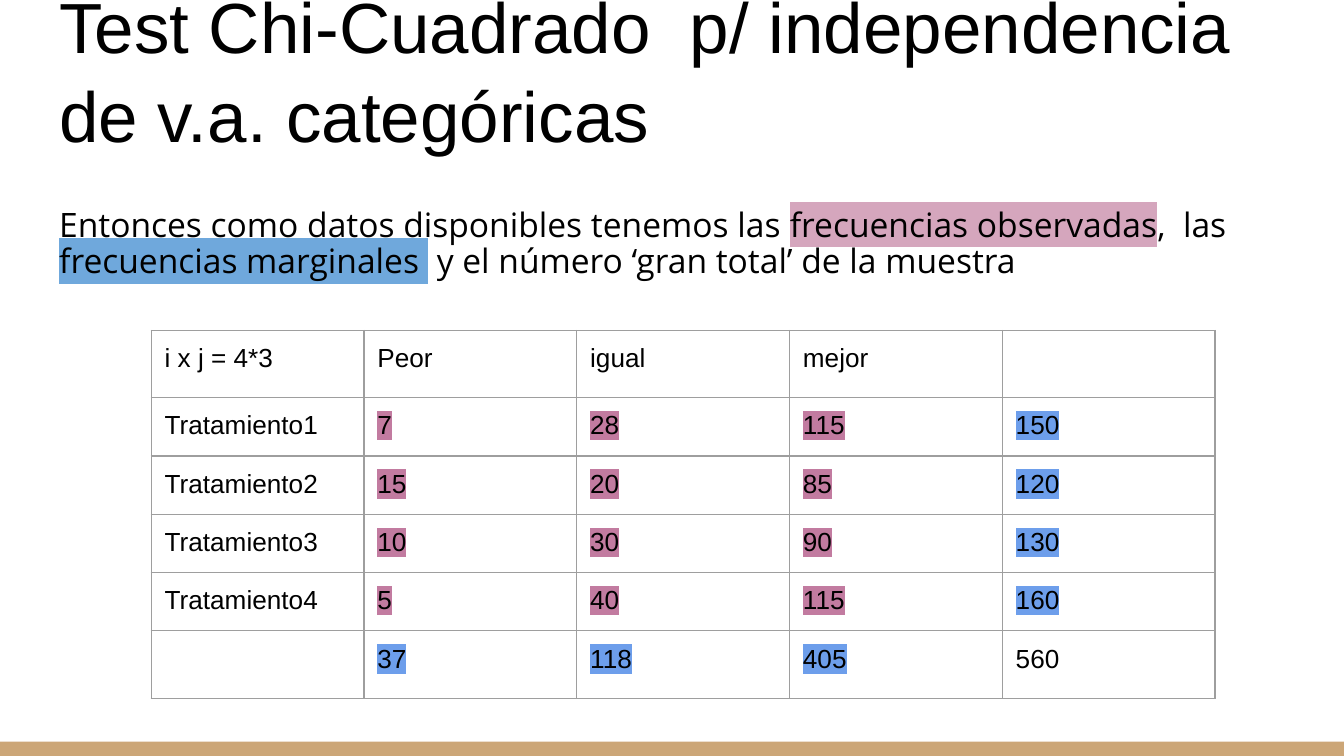
"""Build a slide with the contingency table of a chi-squared independence test."""
from dataclasses import dataclass

from lxml import etree
from pptx import Presentation
from pptx.dml.color import RGBColor
from pptx.enum import shapes, text
from pptx.oxml import ns
from pptx.util import Pt


@dataclass(frozen=True)
class Theme:
    ink: str = "000000"
    band: str = "CCA677"
    border: str = "9E9E9E"
    observed_text: str = "D5A6BD"
    marginal_text: str = "6FA8DC"
    observed_cell: str = "C27BA0"
    marginal_cell: str = "6D9EEB"
    heading_font: str = "Arial"
    body_font: str = "Open Sans"
    title_size: int = 38
    body_size: int = 18
    cell_size: int = 14


THEME = Theme()
SLIDE_WIDTH, SLIDE_HEIGHT = 720, 405
BAND_HEIGHT = 7.7
TABLE_LEFT, TABLE_TOP = 81, 177
COLUMN_WIDTH, ROW_HEIGHT, OUTER_ROW_HEIGHT = 114, 30.1, 34.3
BORDER_WIDTH = 0.75

TITLE = "Test Chi-Cuadrado  p/ independencia de v.a. categóricas"
INTRODUCTION = [
    ("Entonces como datos disponibles tenemos las ", None),
    ("frecuencias observadas", THEME.observed_text),
    (",  las ", None),
    ("frecuencias marginales ", THEME.marginal_text),
    (" y el número ‘gran total’ de la muestra", None),
]
FREQUENCIES = [
    ["i x j = 4*3", "Peor", "igual", "mejor", ""],
    ["Tratamiento1", "7", "28", "115", "150"],
    ["Tratamiento2", "15", "20", "85", "120"],
    ["Tratamiento3", "10", "30", "90", "130"],
    ["Tratamiento4", "5", "40", "115", "160"],
    ["", "37", "118", "405", "560"],
]
LAST_ROW, LAST_COLUMN = len(FREQUENCIES) - 1, len(FREQUENCIES[0]) - 1


def add_color(parent, tag, color):
    element = etree.SubElement(parent, ns.qn(tag))
    etree.SubElement(element, ns.qn("a:srgbClr"), val=color)


def add_run(paragraph, content, font, size, highlight=None):
    run = paragraph.add_run()
    run.text = content
    run.font.size = Pt(size)
    run.font.color.rgb = RGBColor.from_string(THEME.ink)
    if highlight:
        add_color(run.font._element, "a:highlight", highlight)
    run.font.name = font


def set_margins(target, margin):
    target.margin_left = target.margin_right = Pt(margin)
    target.margin_top = target.margin_bottom = Pt(margin)


def cell_highlight(row, column):
    if row == 0 or column == 0:
        return None
    outer = (row == LAST_ROW) + (column == LAST_COLUMN)
    return (THEME.observed_cell, THEME.marginal_cell, None)[outer]


def add_borders(cell):
    properties = cell._tc.get_or_add_tcPr()
    for side in ("a:lnL", "a:lnR", "a:lnT", "a:lnB"):
        line = etree.SubElement(properties, ns.qn(side), w=str(Pt(BORDER_WIDTH)))
        add_color(line, "a:solidFill", THEME.border)


def add_band(slide):
    band = slide.shapes.add_shape(
        shapes.MSO_SHAPE.RECTANGLE, 0, Pt(SLIDE_HEIGHT - BAND_HEIGHT),
        Pt(SLIDE_WIDTH), Pt(BAND_HEIGHT))
    band.shadow.inherit = False
    band.fill.solid()
    band.fill.fore_color.rgb = RGBColor.from_string(THEME.band)
    band.line.fill.background()


def add_title(slide):
    title = slide.shapes.title
    title.left, title.top, title.width, title.height = map(Pt, (24.5, 25, 671, 66))
    frame = title.text_frame
    frame.auto_size = text.MSO_AUTO_SIZE.NONE
    frame.word_wrap = True
    frame.vertical_anchor = text.MSO_ANCHOR.BOTTOM
    set_margins(frame, 7.2)
    paragraph = frame.paragraphs[0]
    paragraph.alignment = text.PP_ALIGN.LEFT
    paragraph.line_spacing = 1.04
    add_run(paragraph, TITLE, THEME.heading_font, THEME.title_size)


def add_introduction(slide):
    box = slide.shapes.add_textbox(*map(Pt, (25.9, 105.8, 656, 70.6)))
    frame = box.text_frame
    frame.word_wrap = True
    set_margins(frame, 5.8)
    paragraph = frame.paragraphs[0]
    paragraph.line_spacing = 0.9
    for content, highlight in INTRODUCTION:
        add_run(paragraph, content, THEME.body_font, THEME.body_size, highlight)


def add_frequency_table(slide):
    heights = [OUTER_ROW_HEIGHT if row in (0, LAST_ROW) else ROW_HEIGHT
               for row in range(len(FREQUENCIES))]
    columns = len(FREQUENCIES[0])
    table = slide.shapes.add_table(
        len(heights), columns, Pt(TABLE_LEFT), Pt(TABLE_TOP),
        Pt(COLUMN_WIDTH * columns), Pt(sum(heights))).table
    table.first_row = table.horz_banding = False
    for column in table.columns:
        column.width = Pt(COLUMN_WIDTH)
    for row, (values, height) in enumerate(zip(FREQUENCIES, heights)):
        table.rows[row].height = Pt(height)
        for column, value in enumerate(values):
            cell = table.cell(row, column)
            set_margins(cell, 7.2)
            add_borders(cell)
            cell.fill.background()
            add_run(cell.text_frame.paragraphs[0], value, THEME.heading_font,
                    THEME.cell_size, cell_highlight(row, column))


def main():
    presentation = Presentation()
    presentation.slide_width = Pt(SLIDE_WIDTH)
    presentation.slide_height = Pt(SLIDE_HEIGHT)
    slide = presentation.slides.add_slide(presentation.slide_layouts[5])
    add_band(slide)
    add_title(slide)
    add_introduction(slide)
    add_frequency_table(slide)
    presentation.save("out.pptx")


if __name__ == "__main__":
    main()
